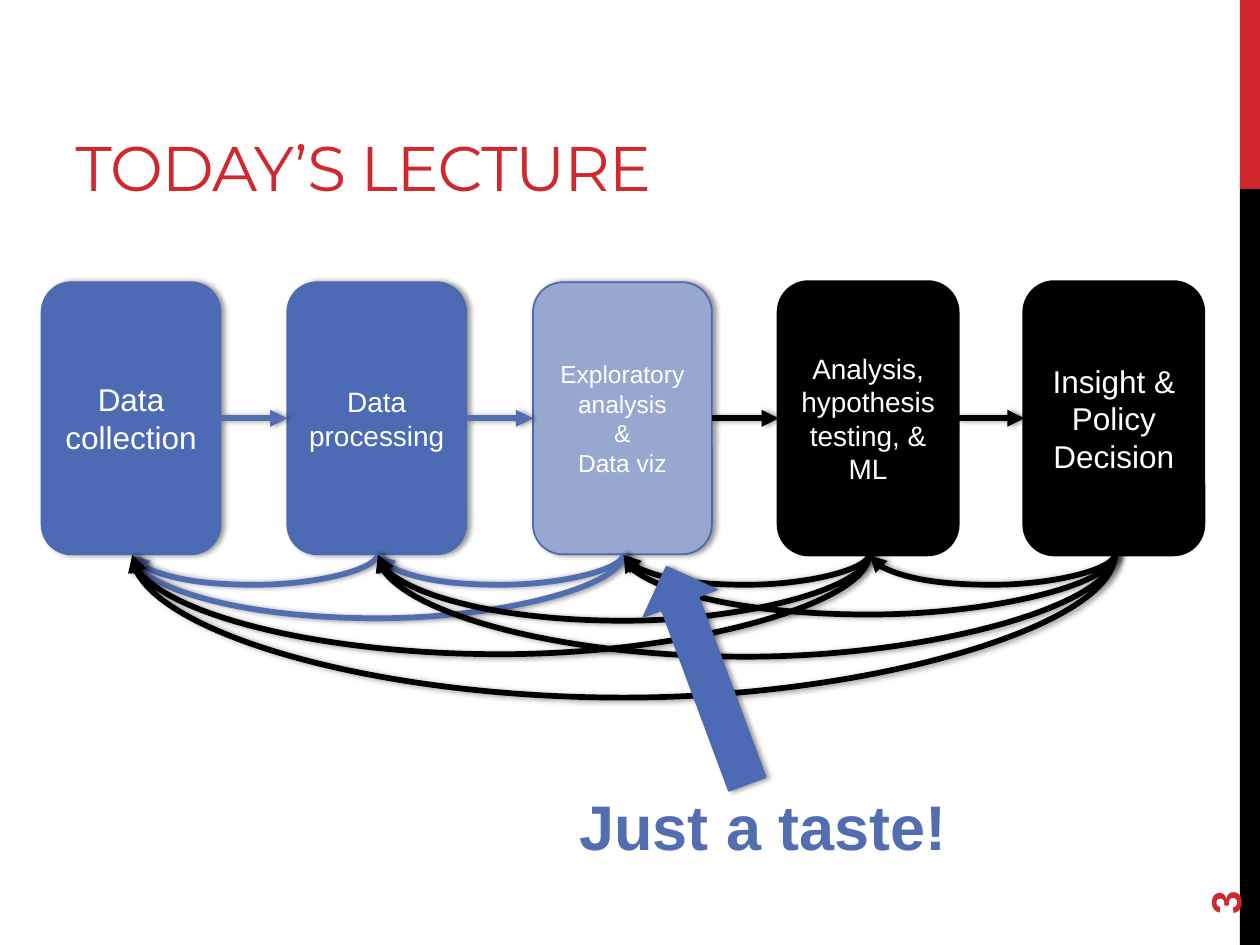
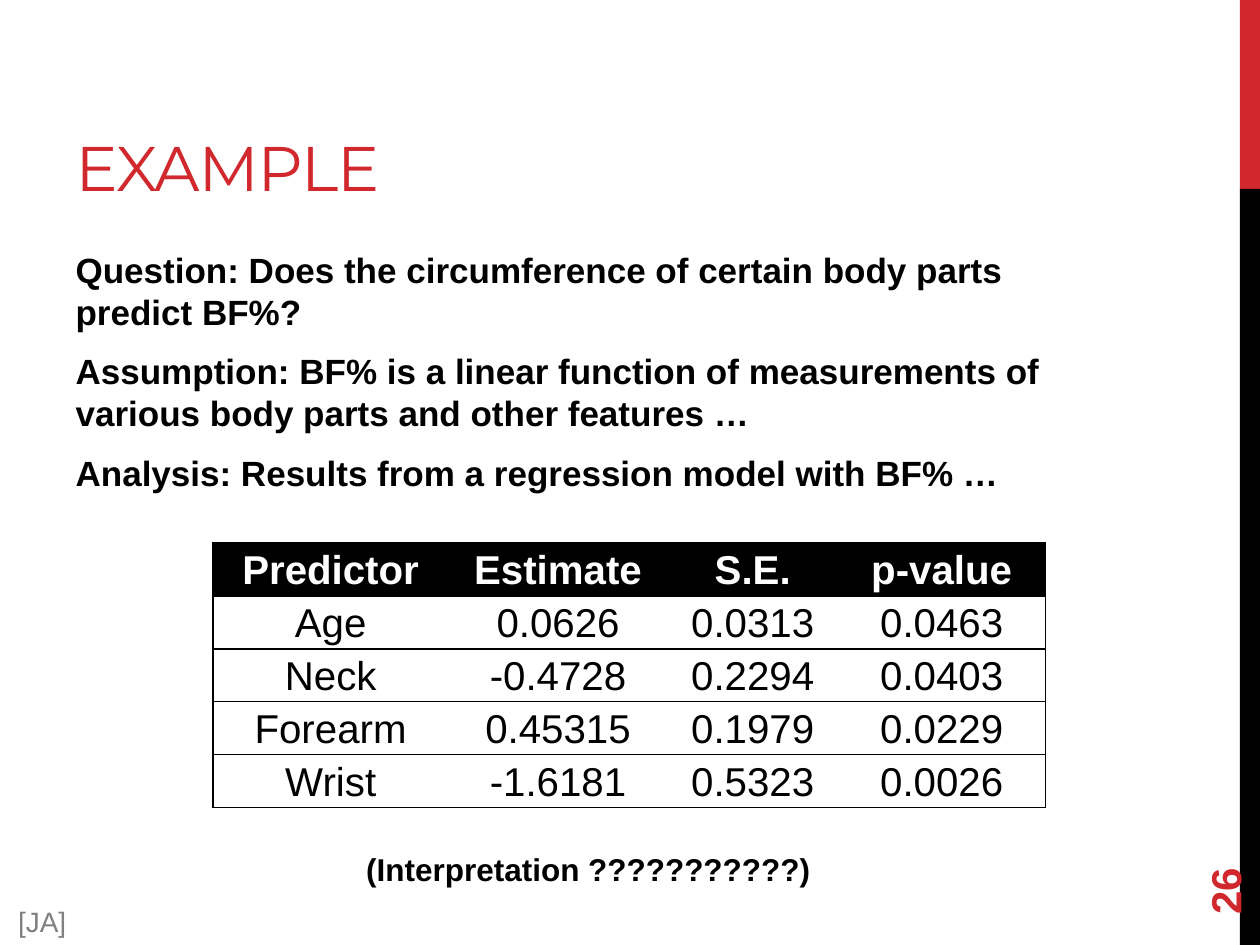
from dataclasses import dataclass
from typing import NamedTuple

from lxml.etree import SubElement
from pptx import Presentation
from pptx.dml.color import RGBColor
from pptx.enum.shapes import MSO_CONNECTOR as CONN, MSO_SHAPE as SHAPE
from pptx.enum.text import MSO_ANCHOR as ANCHOR, MSO_AUTO_SIZE as FIT, PP_ALIGN as ALIGN
from pptx.oxml.ns import qn
from pptx.util import Inches, Pt


# Theme: colours, fonts and type sizes
@dataclass(frozen=True)
class Theme:
    red: str = "D1282E"
    black: str = "000000"
    white: str = "FFFFFF"
    grey: str = "808080"
    blue: str = "4D6BB5"
    pale_blue: str = "97A7D0"
    outline: str = "4E6AAE"
    arrow_blue: str = "526DB0"
    head_font: str = "Montserrat"
    font: str = "Arial"
    title: int = 36
    callout: int = 36
    number: int = 24
    cell: int = 23
    body: int = 20
    note: int = 18
    credit: int = 16
    arrow_width: float = 3.25


T = Theme()


class Box(NamedTuple):
    left: float
    top: float
    width: float
    height: float

    def emu(self) -> list:
        return [Inches(v) for v in self]


class Stage(NamedTuple):
    text: str
    size: int
    fill: str
    outline: str
    outline_width: float
    arrow: str
    loop_depths: tuple  # feedback loops, nearest earlier stage first
    shadow: bool


STAGES = [
    Stage("Data collection", 18, T.blue, T.outline, 1, T.arrow_blue, (), True),
    Stage("Data processing", 16, T.blue, T.outline, 1, T.arrow_blue, (0.25,), True),
    Stage("Exploratory analysis\n&\nData viz", 14, T.pale_blue, T.outline, 1,
          T.arrow_blue, (0.25, 0.52), True),
    Stage("Analysis, hypothesis testing, & ML", 16, T.black, T.black, 2.25,
          T.black, (0.25, 0.54, 0.81), False),
    Stage("Insight & Policy Decision", 18, T.black, T.black, 2.25,
          T.black, (0.25, 0.49, 0.83, 1.16), False),
]
STAGE = Box(0.33, 2.24, 1.42, 2.16)
PITCH = 1.95

QUESTIONS = [
    "Question: Does the circumference of certain body parts predict BF%?",
    "Assumption: BF% is a linear function of measurements of various body parts"
    " and other features …",
    "Analysis: Results from a regression model with BF% …",
]
RESULTS = [
    ("Predictor", "Estimate", "S.E.", "p-value"),
    ("Age", "0.0626", "0.0313", "0.0463"),
    ("Neck", "-0.4728", "0.2294", "0.0403"),
    ("Forearm", "0.45315", "0.1979", "0.0229"),
    ("Wrist", "-1.6181", "0.5323", "0.0026"),
]
COL_WIDTHS = (1.87, 1.74, 1.35, 1.65)
ROW_HEIGHT = 0.42


# Text and shape helpers
def rgb(color: str) -> RGBColor:
    return RGBColor.from_string(color)


def style_text(tf, size: float, color: str, bold: bool = False,
               align=ALIGN.LEFT, font: str = T.font) -> None:
    for p in tf.paragraphs:
        p.alignment = align
        for r in p.runs:
            r.font.name, r.font.size, r.font.bold = font, Pt(size), bold
            r.font.color.rgb = rgb(color)


def add_text(slide, box: Box, text: str, size: float, color: str, **style):
    sp = slide.shapes.add_textbox(*box.emu())
    sp.text_frame.word_wrap = True
    sp.text_frame.text = text
    style_text(sp.text_frame, size, color, **style)
    return sp


def set_effects(sp, shadow: bool = True) -> None:
    effects = SubElement(sp._element.spPr, qn("a:effectLst"))
    if shadow:
        shade = SubElement(effects, qn("a:outerShdw"), blurRad=str(Pt(3.1)),
                           dist=str(Pt(1.8)), dir="0", rotWithShape="0")
        color = SubElement(shade, qn("a:srgbClr"), val=T.black)
        SubElement(color, qn("a:alpha"), val="40000")


def add_shape(slide, kind, box: Box, fill: str, outline: str = "",
              width: float = 1, shadow: bool = False):
    sp = slide.shapes.add_shape(kind, *box.emu())
    sp.fill.solid()
    sp.fill.fore_color.rgb = rgb(fill)
    if outline:
        sp.line.color.rgb = rgb(outline)
        sp.line.width = Pt(width)
    else:
        sp.line.fill.background()
    if shadow:
        set_effects(sp)
    else:
        sp.shadow.inherit = False
    return sp


def add_arrow(slide, kind, x1: float, y1: float, x2: float, y2: float, color: str):
    line = slide.shapes.add_connector(kind, *[Inches(v) for v in (x1, y1, x2, y2)])
    line.line.color.rgb = rgb(color)
    line.line.width = Pt(T.arrow_width)
    SubElement(line.line._get_or_add_ln(), qn("a:tailEnd"), type="triangle")
    set_effects(line)
    return line


def add_loop(slide, x_from: float, x_to: float, y: float, depth: float, color: str) -> None:
    """Curve that leaves downwards, sags by depth and returns to an earlier stage."""
    span, rise = x_from - x_to, 0.01
    mid = (x_from + x_to) / 2
    # A tall thin curve, turned a quarter so that it hangs below the stages
    line = add_arrow(slide, CONN.CURVE, mid - rise / 2, y - span / 2,
                     mid + rise / 2, y + span / 2, color)
    spPr = line._element.spPr
    spPr.find(qn("a:xfrm")).set("rot", str(90 * 60000))
    guides = spPr.find(qn("a:prstGeom")).find(qn("a:avLst"))
    SubElement(guides, qn("a:gd"), name="adj1", fmla=f"val {round(depth / rise * 100000)}")


# Shared frame: side bands, title and page number
def add_slide(prs, layout: int, title: str, number: int):
    slide = prs.slides.add_slide(prs.slide_layouts[layout])
    add_shape(slide, SHAPE.RECTANGLE, Box(9.84, 0, 0.16, 1.5), T.red)
    add_shape(slide, SHAPE.RECTANGLE, Box(9.84, 1.5, 0.16, 6), T.black)

    sp = slide.shapes.title
    place(sp, Box(0.5, 0.17, 6.33, 1.5))
    tf = sp.text_frame
    tf.text = title
    tf.auto_size, tf.vertical_anchor = FIT.NONE, ANCHOR.BOTTOM
    style_text(tf, T.title, T.red, font=T.head_font)
    tf.paragraphs[0].runs[0].font._element.set("spc", "-60")

    page = add_text(slide, Box(9, 6.44, 1.44, 0.4), str(number), T.number, T.red, bold=True)
    page.rotation = 270
    page.text_frame.vertical_anchor = ANCHOR.MIDDLE
    return slide


def place(sp, box: Box) -> None:
    sp.left, sp.top, sp.width, sp.height = box.emu()


# Slide: lecture pipeline
def add_stage(slide, i: int, stage: Stage) -> None:
    left = STAGE.left + i * PITCH
    sp = add_shape(slide, SHAPE.ROUNDED_RECTANGLE, STAGE._replace(left=left), stage.fill,
                   stage.outline, stage.outline_width, stage.shadow)
    tf = sp.text_frame
    tf.word_wrap, tf.vertical_anchor = True, ANCHOR.MIDDLE
    tf.text = stage.text
    style_text(tf, stage.size, T.white, align=ALIGN.CENTER)

    if i:
        y = STAGE.top + STAGE.height / 2
        add_arrow(slide, CONN.STRAIGHT, left - PITCH + STAGE.width, y, left, y, stage.arrow)
    x = left + STAGE.width / 2 + 0.01
    for back, depth in enumerate(stage.loop_depths, 1):
        add_loop(slide, x, x - back * PITCH, STAGE.top + STAGE.height, depth, stage.arrow)


def build_lecture(prs) -> None:
    slide = add_slide(prs, 5, "TODAY’S LECTURE", 3)
    for i, stage in enumerate(STAGES):
        add_stage(slide, i, stage)
    pointer = add_shape(slide, SHAPE.UP_ARROW, Box(5.3, 4.44, 0.62, 1.84), T.blue,
                        T.outline, shadow=True)
    pointer.rotation = 339.6
    add_text(slide, Box(4.5, 6.2, 3.9, 0.71), "Just a taste!", T.callout,
             T.arrow_blue, bold=True)


# Slide: regression example
def set_borders(cell, sides: dict) -> None:
    tcPr = cell._tc.get_or_add_tcPr()
    for i, (side, visible) in enumerate(sides.items()):
        ln = SubElement(tcPr, qn(f"a:ln{side}"), w=str(Pt(1)))
        if visible:
            SubElement(SubElement(ln, qn("a:solidFill")), qn("a:srgbClr"), val=T.black)
        else:
            SubElement(ln, qn("a:noFill"))
        tcPr.insert(i, ln)


def add_results(slide) -> None:
    box = Box(1.69, 4.31, sum(COL_WIDTHS), ROW_HEIGHT * len(RESULTS))
    table = slide.shapes.add_table(len(RESULTS), len(COL_WIDTHS), *box.emu()).table
    table.first_row = table.horz_banding = False
    for column, width in zip(table.columns, COL_WIDTHS):
        column.width = Inches(width)
    for i, row in enumerate(RESULTS):
        header = i == 0
        for j, text in enumerate(row):
            cell = table.cell(i, j)
            cell.text = text
            cell.vertical_anchor = ANCHOR.MIDDLE
            cell.margin_left = cell.margin_right = cell.margin_top = Inches(0.02)
            cell.margin_bottom = 0
            cell.fill.solid()
            cell.fill.fore_color.rgb = rgb(T.black if header else T.white)
            style_text(cell.text_frame, T.cell, T.white if header else T.black,
                       bold=header, align=ALIGN.CENTER)
            set_borders(cell, {"L": j == 0, "R": j == len(row) - 1, "T": True, "B": True})


def build_example(prs) -> None:
    slide = add_slide(prs, 1, "EXAMPLE", 26)
    body = slide.placeholders[1]
    place(body, Box(0.5, 1.92, 8.33, 4.78))
    tf = body.text_frame
    tf.text = "\n".join(QUESTIONS)
    tf.auto_size = FIT.NONE
    for i, p in enumerate(tf.paragraphs):
        pPr = p._p.get_or_add_pPr()
        pPr.set("marL", "0")
        pPr.set("indent", "0")
        SubElement(pPr, qn("a:buNone"))
        p.space_before, p.space_after = Pt(4 if i else 0), Pt(6)
    style_text(tf, T.body, T.black, bold=True)

    add_results(slide)
    add_text(slide, Box(1.99, 6.7, 5.36, 0.4), "(Interpretation ???????????)", T.note,
             T.black, bold=True, align=ALIGN.CENTER)
    add_text(slide, Box(0, 7.13, 0.67, 0.37), "[JA]", T.credit, T.grey, align=ALIGN.CENTER)


def main() -> None:
    prs = Presentation()
    prs.slide_width, prs.slide_height = Inches(10), Inches(7.5)
    build_lecture(prs)
    build_example(prs)
    prs.save("out.pptx")


if __name__ == "__main__":
    main()
